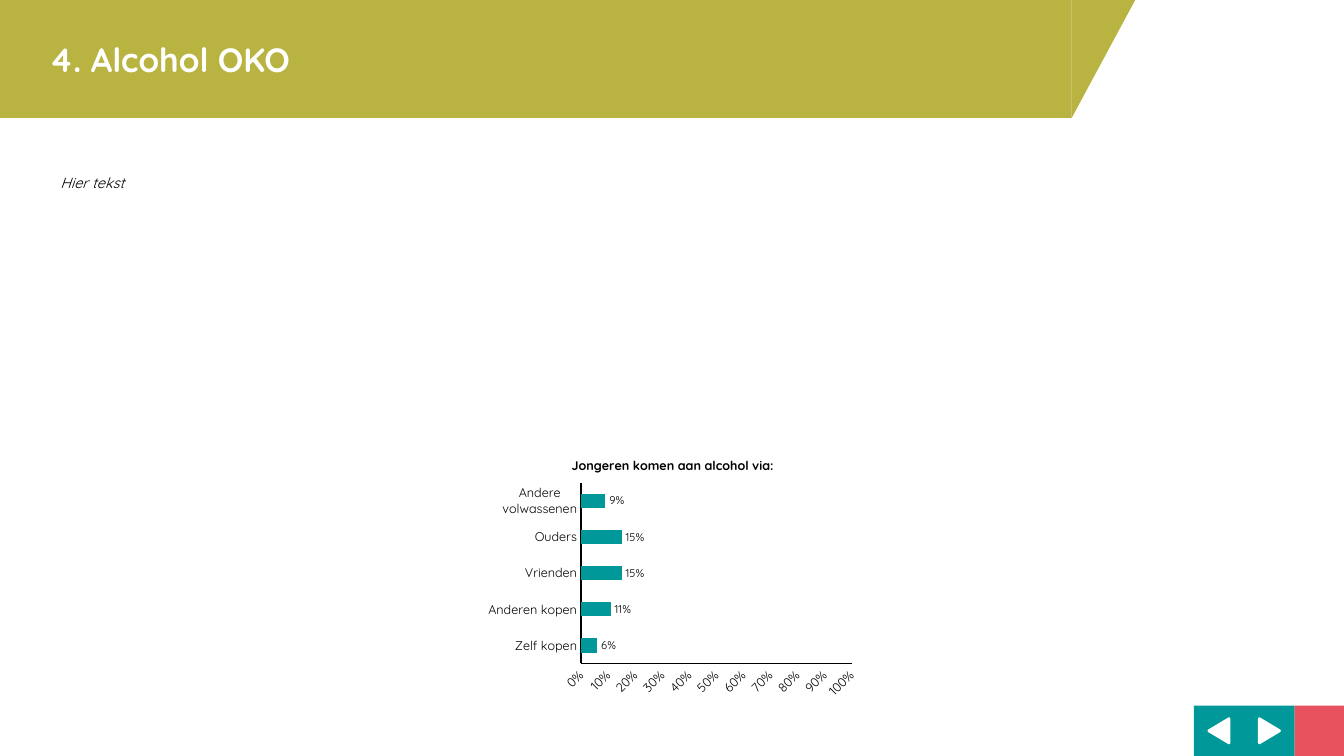
from lxml import etree
from pptx import Presentation
from pptx.chart.data import CategoryChartData
from pptx.dml.color import RGBColor
from pptx.enum.chart import XL_CHART_TYPE, XL_LABEL_POSITION, XL_TICK_MARK
from pptx.enum.shapes import MSO_SHAPE
from pptx.enum.text import MSO_ANCHOR, MSO_AUTO_SIZE, PP_ALIGN
from pptx.oxml import parse_xml
from pptx.oxml.ns import nsdecls, qn
from pptx.util import Inches, Pt

BAR = XL_CHART_TYPE.BAR_CLUSTERED
OUT_END = XL_LABEL_POSITION.OUTSIDE_END
NO_TICK = XL_TICK_MARK.NONE
RECT = MSO_SHAPE.RECTANGLE
TRI = MSO_SHAPE.ISOSCELES_TRIANGLE
WEDGE = MSO_SHAPE.RIGHT_TRIANGLE
TOP, MID = MSO_ANCHOR.TOP, MSO_ANCHOR.MIDDLE
NO_FIT = MSO_AUTO_SIZE.NONE
LEFT = PP_ALIGN.LEFT

FACE = "Quicksand"
OLIVE, TEAL, RED = "B9B441", "009898", "E8525F"
WHITE, BLACK = "FFFFFF", "000000"

SOURCES = [("Zelf kopen", 0.06), ("Anderen kopen", 0.11), ("Vrienden", 0.15),
           ("Ouders", 0.15), ("Andere volwassenen", 0.09)]


def paint(target, color):
    target.solid()
    target.fore_color.rgb = RGBColor.from_string(color)


def style(font, size, color=BLACK, bold=False, italic=False):
    font.name = FACE
    font.size = Pt(size)
    font.bold = bold
    font.italic = italic
    font.color.rgb = RGBColor.from_string(color)


def add_block(slide, kind, box, fill, line=None):
    shape = slide.shapes.add_shape(kind, *map(Inches, box))
    shape.shadow.inherit = False
    paint(shape.fill, fill)
    if line:
        paint(shape.line.fill, line)
        shape.line.width = Pt(2)
    else:
        shape.line.fill.background()
    return shape


def fill_holder(holder, box, text, anchor, indent, **look):
    holder.left, holder.top, holder.width, holder.height = map(Inches, box)
    frame = holder.text_frame
    frame.auto_size = NO_FIT
    frame.word_wrap = True
    frame.vertical_anchor = anchor
    para = frame.paragraphs[0]
    para.alignment = LEFT
    para.space_before = Pt(0)
    props = para._p.get_or_add_pPr()
    props.set("marL", "0")
    props.set("indent", str(Inches(indent)))
    etree.SubElement(props, qn("a:buNone"))
    run = para.add_run()
    run.text = text
    style(run.font, **look)


def add_nav(slide):
    top, side = 7, 0.5
    for step, (fill, turn) in enumerate([(TEAL, 270), (TEAL, 90), (RED, None)]):
        left = 11.84 + step * side
        add_block(slide, RECT, (left, top, side, side), fill)
        if turn is not None:
            arrow = add_block(slide, TRI, (left + 0.13, top + 0.15, 0.24, 0.2),
                              WHITE, WHITE)
            arrow.rotation = turn


def style_axis(axis):
    axis.has_major_gridlines = False
    axis.major_tick_mark = NO_TICK
    axis.minor_tick_mark = NO_TICK
    style(axis.tick_labels.font, 9)
    paint(axis.format.line.fill, BLACK)
    axis.format.line.width = Pt(1)


def place_plot(chart, x, y, w, h):
    area = chart._chartSpace.chart.plotArea
    for old in area.findall(qn("c:layout")):
        area.remove(old)
    sizes = "".join(f'<c:{tag} val="{val}"/>'
                    for tag, val in zip("xywh", (x, y, w, h)))
    area.insert(0, parse_xml(
        f'<c:layout {nsdecls("c")}><c:manualLayout><c:layoutTarget val="inner"/>'
        f'<c:xMode val="edge"/><c:yMode val="edge"/>{sizes}'
        '</c:manualLayout></c:layout>'))


def add_bars(slide, box, title):
    data = CategoryChartData(number_format="0%")
    data.categories = [name for name, _ in SOURCES]
    data.add_series("Series 1", [share for _, share in SOURCES])
    chart = slide.shapes.add_chart(BAR, *map(Inches, box), data).chart
    chart.has_legend = False
    chart.font.name = "Calibri"
    chart.font.size = Pt(18)

    # Title
    chart.has_title = True
    run = chart.chart_title.text_frame.paragraphs[0].add_run()
    run.text = title
    style(run.font, 9, bold=True)
    chart.chart_title.include_in_layout = False

    # Axes
    style_axis(chart.category_axis)
    scale = chart.value_axis
    style_axis(scale)
    scale.minimum_scale, scale.maximum_scale = 0, 1
    scale.major_unit = 0.1
    scale.tick_labels.number_format = "0%"
    scale.tick_labels.number_format_is_linked = False
    scale._element.txPr.find(qn("a:bodyPr")).set("rot", "-2700000")

    # Bars and labels
    plot = chart.plots[0]
    plot.gap_width = 150
    plot.vary_by_categories = False
    series = plot.series[0]
    paint(series.format.fill, TEAL)
    labels = series.data_labels
    labels.show_value = True
    labels.position = OUT_END
    labels.number_format = "0%"
    labels.number_format_is_linked = False
    style(labels.font, 8)
    place_plot(chart, 0.26, 0.15, 0.71, 0.69)


def main():
    deck = Presentation()
    deck.slide_width, deck.slide_height = Inches(13.33), Inches(7.5)
    slide = deck.slides.add_slide(deck.slide_layouts[1])
    title, body = slide.placeholders

    # Header band with slanted end
    paint(title.fill, OLIVE)
    fill_holder(title, (0, 0, 10.63, 1.17), "4. Alcohol OKO", MID, 0.39,
                size=24, color=WHITE, bold=True)
    wedge = add_block(slide, WEDGE, (10.63, 0, 0.63, 1.17), OLIVE)
    wedge._element.spPr.find(qn("a:xfrm")).set("flipV", "1")

    # Body text, chart and navigation
    fill_holder(body, (0.5, 1.67, 12.33, 0.28), "Hier tekst", TOP, 0,
                size=10.5, italic=True)
    add_bars(slide, (4.78, 4.4, 3.78, 2.6), "Jongeren komen aan alcohol via:")
    add_nav(slide)
    deck.save("out.pptx")


if __name__ == "__main__":
    main()
